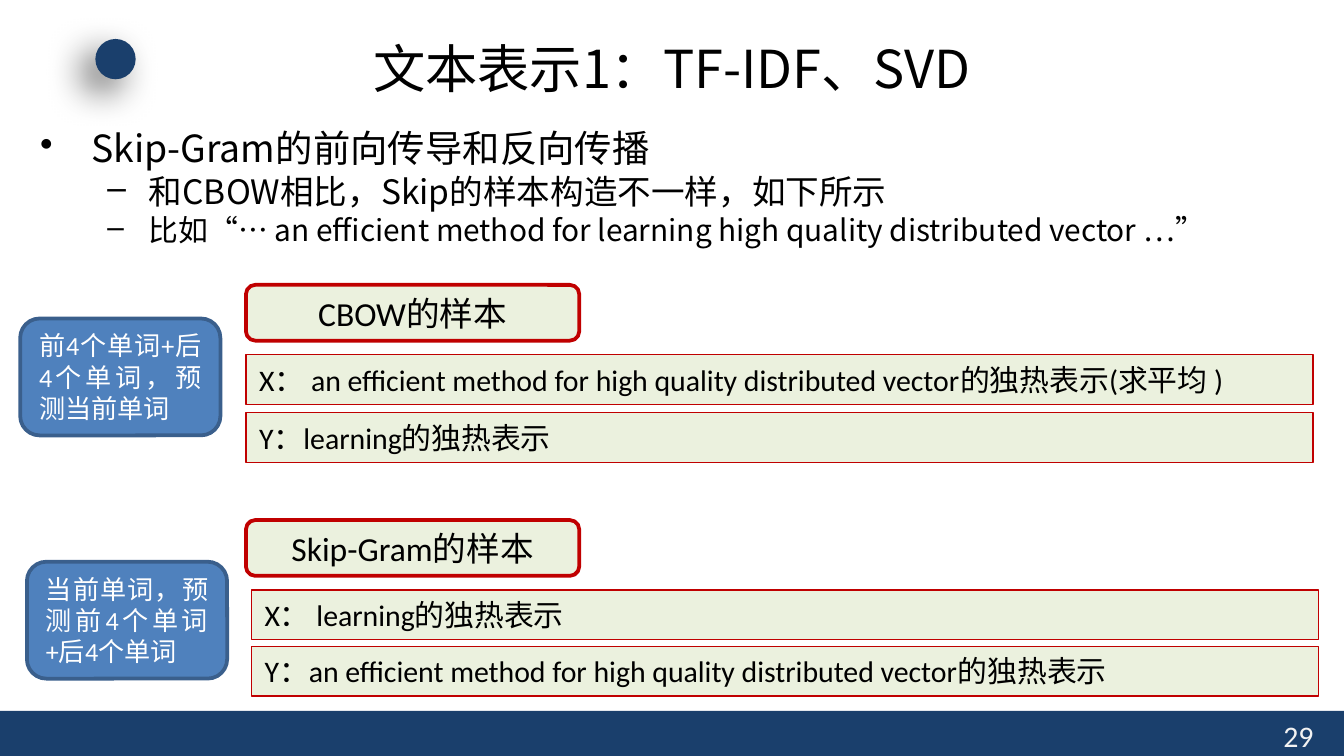
import pptx
import pptx.util
import pptx.oxml
import pptx.oxml.ns
import pptx.dml.color
from lxml import etree
from pptx.enum.shapes import MSO_SHAPE
from pptx.enum.text import MSO_ANCHOR, PP_ALIGN

COLORS = {"navy": "1A3F6C", "pale": "EBF1DE", "red": "C00000", "blue": "4F81BD",
          "edge": "3A5F8C", "black": "000000", "white": "FFFFFF", "page": "F2F2F2"}
CJK = "Noto Sans CJK SC"

deck = pptx.Presentation()
deck.slide_width = pptx.util.Inches(10)
deck.slide_height = pptx.util.Inches(5.625)
CELL = deck.slide_width / 100  # square grid: 100 columns, 56.25 rows
slide = deck.slides.add_slide(deck.slide_layouts[6])


def add_block(area, shape=None, fill=None, line=None, line_width=2):
    """Place a shape, or a text box when no shape is given; area is in grid cells."""
    place = [round(n * CELL) for n in area]
    if shape is None:
        block = slide.shapes.add_textbox(*place)
    else:
        block = slide.shapes.add_shape(shape, *place)
        block.shadow.inherit = False
        block.fill.solid()
        block.fill.fore_color.rgb = pptx.dml.color.RGBColor.from_string(COLORS[fill])
        if line:
            block.line.color.rgb = pptx.dml.color.RGBColor.from_string(COLORS[line])
            block.line.width = pptx.util.Pt(line_width)
        else:
            block.line.fill.background()
    block.text_frame.word_wrap = True
    return block


def write(paragraph, text, size=16, font="Calibri", color="black", align=PP_ALIGN.LEFT):
    paragraph.alignment = align
    run = paragraph.add_run()
    run.text = text
    run.font.size = pptx.util.Pt(size)
    run.font.name = font
    run.font.color.rgb = pptx.dml.color.RGBColor.from_string(COLORS[color])
    east_asian = etree.SubElement(run.font._element, pptx.oxml.ns.qn("a:ea"))
    east_asian.set("typeface", CJK)


# Footer band and page number
add_block((0, 52.9, 100, 3.35), MSO_SHAPE.RECTANGLE, "navy")
page_number = add_block((94.5, 52.9, 5, 3))
write(page_number.text_frame.paragraphs[0], "29", color="page")

# Corner dot with a soft shadow
dot = add_block((7.1, 2.9, 3, 3), MSO_SHAPE.OVAL, "navy")
effects = dot._element.spPr.find(pptx.oxml.ns.qn("a:effectLst"))
effects.append(pptx.oxml.parse_xml(
    f'<a:outerShdw {pptx.oxml.ns.nsdecls("a")} blurRad="254000" dist="127000" dir="8100000">'
    '<a:srgbClr val="000000"><a:alpha val="60000"/></a:srgbClr></a:outerShdw>'))

# Title
title = add_block((5, 2.3, 90, 5.5))
title.text_frame.vertical_anchor = MSO_ANCHOR.MIDDLE
write(title.text_frame.paragraphs[0], "文本表示1：TF-IDF、SVD", size=28, font=CJK,
      align=PP_ALIGN.CENTER)

# Bulleted points: level, bullet, left margin, hanging indent, size, text
points = [
    (0, "•", 3.8, 3.8, 20, "Skip-Gram的前向传导和反向传播"),
    (1, "–", 8.1, 3.1, 18, "和CBOW相比，Skip的样本构造不一样，如下所示"),
    (1, "–", 8.1, 3.1, 16,
     "比如“… an efficient method for learning high quality distributed vector …”"),
]
body = add_block((2, 9.3, 90, 43.1)).text_frame
for index, (level, bullet, margin, hanging, size, text) in enumerate(points):
    point = body.add_paragraph() if index else body.paragraphs[0]
    point.level = level
    point.line_spacing = 0.87
    if index:
        point.space_before = pptx.util.Pt(3)
    properties = point._p.get_or_add_pPr()
    properties.set("marL", str(round(margin * CELL)))
    properties.set("indent", str(round(-hanging * CELL)))
    etree.SubElement(properties, pptx.oxml.ns.qn("a:buChar")).set("char", bullet)
    write(point, text, size=size, font=CJK)

# Samples: heading top, rows (left, tops), note corner, texts
samples = [
    (21.2, 18.3, (26.4, 30.7), (1.5, 23.7), "CBOW的样本",
     ("X： an efficient method for high quality distributed vector的独热表示(求平均 )",
      "Y：learning的独热表示"),
     "前4个单词+后4个单词，预测当前单词"),
    (38.7, 18.7, (43.9, 48.1), (2, 41.8), "Skip-Gram的样本",
     ("X： learning的独热表示",
      "Y：an efficient method for high quality distributed vector的独热表示"),
     "当前单词，预测前4个单词+后4个单词"),
]
for heading_top, row_left, row_tops, note_corner, heading_text, row_texts, note_text in samples:
    heading = add_block((18.3, heading_top, 24.8, 4.15), MSO_SHAPE.ROUNDED_RECTANGLE,
                        "pale", "red")
    write(heading.text_frame.paragraphs[0], heading_text, size=18, align=PP_ALIGN.CENTER)
    for row_top, row_text in zip(row_tops, row_texts):
        row = add_block((row_left, row_top, 79.4, 3.7), MSO_SHAPE.RECTANGLE,
                        "pale", "red", line_width=0.75)
        row.text_frame.vertical_anchor = MSO_ANCHOR.TOP
        write(row.text_frame.paragraphs[0], row_text)
    note = add_block((*note_corner, 14.9, 8.7), MSO_SHAPE.ROUNDED_RECTANGLE, "blue", "edge")
    write(note.text_frame.paragraphs[0], note_text, size=14, color="white",
          align=PP_ALIGN.JUSTIFY)

deck.save("out.pptx")
